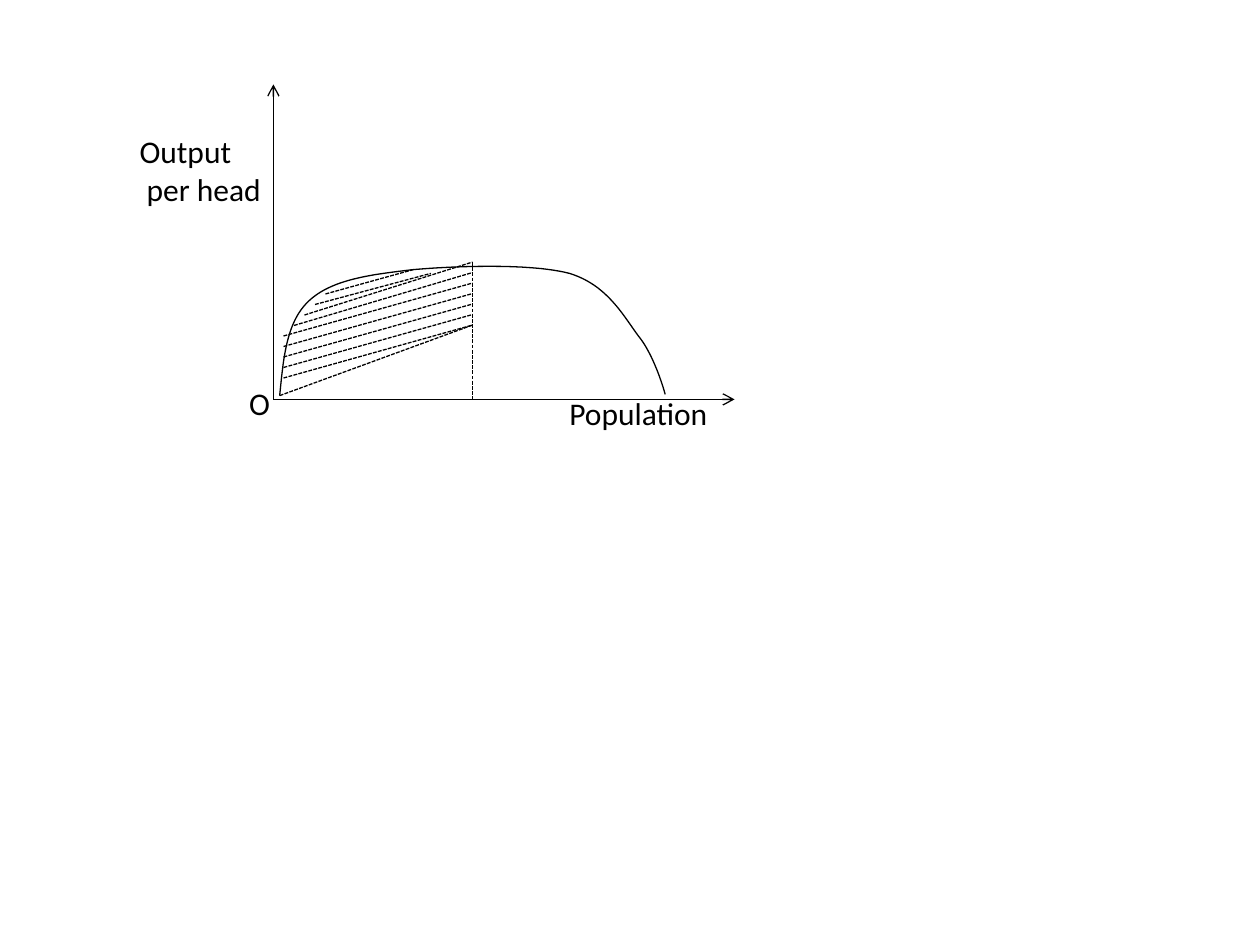
from lxml.etree import SubElement
from pptx import Presentation
from pptx.dml.color import RGBColor
from pptx.enum.dml import MSO_LINE_DASH_STYLE as Dash
from pptx.enum.shapes import MSO_CONNECTOR_TYPE as Connector
from pptx.enum.text import MSO_AUTO_SIZE as AutoSize
from pptx.oxml.ns import qn
from pptx.util import Inches, Pt

COLORS = {"ink": "000000"}
FONT = {"name": "Calibri", "size": Pt(18)}
LABELS = [
    (["Population"], 4.42, 3.08, 1.37, 0.4),
    (["Output", " per head"], 1.01, 1, 1.24, 0.71),
    (["O"], 1.88, 3, 0.37, 0.4),
]
AXES = [((2.17, 3.17), (2.17, 0.67)), ((2.17, 3.17), (5.83, 3.17))]
OPTIMUM_X = 3.75
GUIDES = [((OPTIMUM_X, 2.08), (OPTIMUM_X, 3.17)), ((2.22, 3.14), (OPTIMUM_X, 2.58))]
HATCH_GAP = 1 / 12
HATCH_ENDS = [(OPTIMUM_X, 2.58 - row * HATCH_GAP) for row in range(7)]
HATCH_ENDS += [(3.42, 2.17), (3.28, 2.14)]
CURVE_START = (2.22, 3.14)
CURVE_PIECES = [
    ((2.25, 2.85), (2.27, 2.56), (2.45, 2.39)),
    ((2.63, 2.22), (2.93, 2.18), (3.28, 2.14)),
    ((3.62, 2.11), (4.22, 2.09), (4.52, 2.17)),
    ((4.82, 2.26), (4.95, 2.51), (5.07, 2.67)),
    ((5.2, 2.83), (5.28, 3.13), (5.28, 3.13)),
]
CURVE_STEPS = 24


def ink_line(line):
    line.color.rgb = RGBColor.from_string(COLORS["ink"])
    line.width = Pt(0.75)


def add_line(slide, start, end, dashed=False, arrow=False):
    points = [Inches(value) for value in (*start, *end)]
    connector = slide.shapes.add_connector(Connector.STRAIGHT, *points)
    ink_line(connector.line)
    if dashed:
        connector.line.dash_style = Dash.SQUARE_DOT
        connector.line._ln.find(qn("a:prstDash")).set("val", "sysDash")
    if arrow:
        SubElement(connector.line._ln, qn("a:tailEnd"), type="arrow")
    SubElement(connector._element.spPr, qn("a:effectLst"))


def bezier(points, t):
    weights = ((1 - t) ** 3, 3 * t * (1 - t) ** 2, 3 * t**2 * (1 - t), t**3)
    return tuple(sum(w * point[axis] for w, point in zip(weights, points)) for axis in (0, 1))


def add_curve(slide):
    vertices, start = [CURVE_START], CURVE_START
    for piece in CURVE_PIECES:
        vertices += [bezier((start, *piece), step / CURVE_STEPS) for step in range(1, CURVE_STEPS + 1)]
        start = piece[-1]
    first, *others = [(Inches(x), Inches(y)) for x, y in vertices]
    builder = slide.shapes.build_freeform(*first)
    builder.add_line_segments(others, close=False)
    curve = builder.convert_to_shape()
    curve.shadow.inherit = False
    curve.fill.background()
    ink_line(curve.line)


def add_label(slide, lines, *box):
    frame = slide.shapes.add_textbox(*map(Inches, box)).text_frame
    frame.word_wrap = False
    frame.auto_size = AutoSize.SHAPE_TO_FIT_TEXT
    frame.text = "\n".join(lines)
    for paragraph in frame.paragraphs:
        font = paragraph.runs[0].font
        for name, value in FONT.items():
            setattr(font, name, value)
        font.color.rgb = RGBColor.from_string(COLORS["ink"])


def main():
    """Draw output per head against population, hatched up to the optimum."""
    presentation = Presentation()
    presentation.slide_width, presentation.slide_height = Inches(10), Inches(7.5)
    slide = presentation.slides.add_slide(presentation.slide_layouts[6])
    for start, end in AXES:
        add_line(slide, start, end, arrow=True)
    add_curve(slide)
    for start, end in GUIDES:
        add_line(slide, start, end, dashed=True)
    for row, end in enumerate(HATCH_ENDS):
        start = (2.25 + max(0, row - 4) * HATCH_GAP, 3 - row * HATCH_GAP)
        add_line(slide, start, end, dashed=True)
    for label in LABELS:
        add_label(slide, *label)
    presentation.save("out.pptx")


if __name__ == "__main__":
    main()
